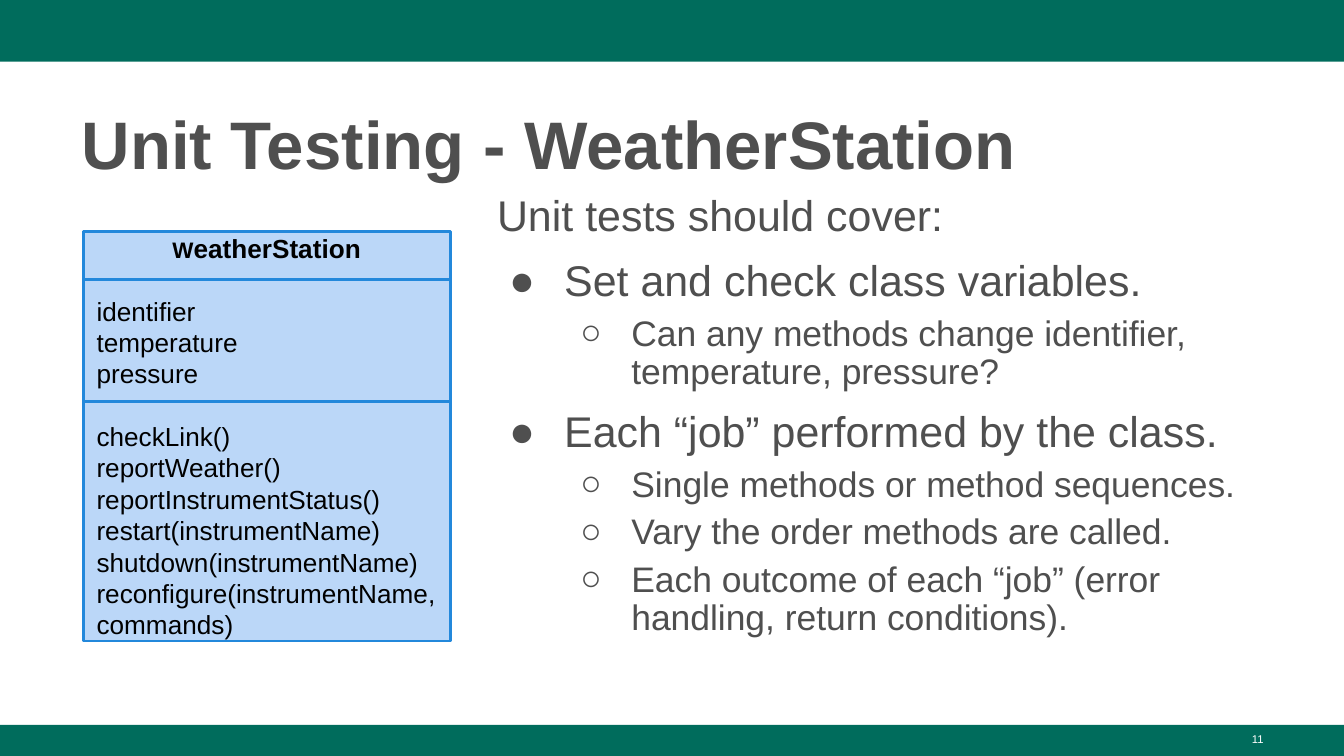
from lxml import etree
from pptx import Presentation
from pptx.dml.color import RGBColor
from pptx.enum.shapes import MSO_CONNECTOR, MSO_SHAPE
from pptx.enum.text import MSO_ANCHOR, PP_ALIGN
from pptx.oxml.ns import qn
from pptx.util import Inches, Pt

RECTANGLE = MSO_SHAPE.RECTANGLE
STRAIGHT = MSO_CONNECTOR.STRAIGHT
TOP, MIDDLE = MSO_ANCHOR.TOP, MSO_ANCHOR.MIDDLE
LEFT, CENTER, RIGHT = PP_ALIGN.LEFT, PP_ALIGN.CENTER, PP_ALIGN.RIGHT

GREEN = RGBColor(0x00, 0x6C, 0x5C)
GRAY = RGBColor(0x4F, 0x4F, 0x4F)
LIGHT_BLUE = RGBColor(0xBB, 0xD7, 0xF8)
BLUE = RGBColor(0x23, 0x88, 0xDB)
BLACK = RGBColor(0x00, 0x00, 0x00)
WHITE = RGBColor(0xFF, 0xFF, 0xFF)
FONT = "Arial"

TITLE = "Unit Testing - WeatherStation"
PAGE_NUMBER = "11"
CLASS_NAME = ("W", "eatherStation")
ATTRIBUTES = ["identifier", "temperature", "pressure"]
METHODS = [
    "checkLink()",
    "reportWeather()\nreportInstrumentStatus()",
    "restart(instrumentName)",
    "shutdown(instrumentName)",
    "reconfigure(instrumentName, commands)",
]
# (style, text)
BODY = [
    ("lead", "Unit tests should cover:"),
    ("point", "Set and check class variables."),
    ("detail", "Can any methods change identifier, temperature, pressure?"),
    ("point", "Each “job” performed by the class."),
    ("detail", "Single methods or method sequences."),
    ("detail", "Vary the order methods are called."),
    ("detail", "Each outcome of each “job” (error handling, return conditions)."),
]
# style: (level, size, space before, left margin, first-line indent, bullet)
BODY_STYLES = {
    "lead": (0, 23, 0, 0, 0, None),
    "point": (0, 23, 10, 0.5, -0.41, "●"),
    "detail": (1, 19, 5, 1, -0.38, "○"),
}
SLIDE_WIDTH = 10
SLIDE_HEIGHT = SLIDE_WIDTH * 9 / 16
HEADER_HEIGHT, FOOTER_HEIGHT = 0.46, 0.23
BARS = [(0, HEADER_HEIGHT), (SLIDE_HEIGHT - FOOTER_HEIGHT, FOOTER_HEIGHT)]  # top, height
CLASS_BOX = (0.62, 1.72, 2.73, 3.05)
DIVIDERS = [2.08, 2.99]
CLASS_LINE = Pt(16.8)


def style_font(font, size, color, bold=False):
    font.name, font.size, font.bold = FONT, Pt(size), bold
    font.color.rgb = color


def add_rectangle(page, area, fill, line=None):
    box = page.shapes.add_shape(RECTANGLE, *map(Inches, area))
    box.shadow.inherit = False
    box.fill.solid()
    box.fill.fore_color.rgb = fill
    if line is None:
        box.line.fill.background()
    else:
        box.line.color.rgb = line
        box.line.width = Pt(1.5)
    return box


def add_text_frame(page, area, anchor=TOP):
    frame = page.shapes.add_textbox(*map(Inches, area)).text_frame
    frame.word_wrap = True
    frame.vertical_anchor = anchor
    return frame


def set_bullet(para, margin, indent, bullet):
    properties = para._p.get_or_add_pPr()
    properties.set("marL", str(Inches(margin)))
    properties.set("indent", str(Inches(indent)))
    if bullet:
        color = etree.SubElement(properties, qn("a:buClr"))
        etree.SubElement(color, qn("a:srgbClr")).set("val", str(GRAY))
        etree.SubElement(properties, qn("a:buFont")).set("typeface", FONT)
        etree.SubElement(properties, qn("a:buChar")).set("char", bullet)


def add_title(page):
    frame = add_text_frame(page, (0.51, 0.67, 8.99, 0.73), MIDDLE)
    frame.text = TITLE
    para = frame.paragraphs[0]
    para.line_spacing = 1.08
    style_font(para.runs[0].font, 36, GRAY, bold=True)


def add_class_diagram(page):
    left, _, width, _ = CLASS_BOX
    frame = add_rectangle(page, CLASS_BOX, LIGHT_BLUE, BLUE).text_frame
    frame.word_wrap = True
    frame.vertical_anchor = MIDDLE
    frame.margin_left = frame.margin_right = Inches(0.1)
    frame.margin_top = frame.margin_bottom = Inches(0.1)

    heading = frame.paragraphs[0]
    heading.alignment = CENTER
    heading.line_spacing = CLASS_LINE
    for part, size in zip(CLASS_NAME, (12, 14)):
        span = heading.add_run()
        span.text = part
        style_font(span.font, size, BLACK, bold=True)

    for members in (ATTRIBUTES, METHODS):
        for index, member in enumerate(members):
            para = frame.add_paragraph()
            para.text = member
            para.alignment = LEFT
            para.line_spacing = CLASS_LINE
            para.space_before = CLASS_LINE if index == 0 else Pt(0)
            for span in para.runs:
                style_font(span.font, 14, BLACK)

    for height in DIVIDERS:
        line = page.shapes.add_connector(
            STRAIGHT, Inches(left), Inches(height), Inches(left + width), Inches(height))
        line.line.color.rgb = BLUE
        line.line.width = Pt(1.5)
        etree.SubElement(line._element.spPr, qn("a:effectLst"))


def add_page_number(page):
    frame = add_text_frame(page, (7.17, 5.4, 2.33, FOOTER_HEIGHT))
    frame.text = PAGE_NUMBER
    para = frame.paragraphs[0]
    para.alignment = RIGHT
    style_font(para.runs[0].font, 6, WHITE)


def add_body(page):
    frame = add_text_frame(page, (3.6, 1.4, 5.9, 3.81))
    for index, (style, text) in enumerate(BODY):
        level, size, before, margin, indent, bullet = BODY_STYLES[style]
        para = frame.add_paragraph() if index else frame.paragraphs[0]
        para.text = text
        para.level = level
        set_bullet(para, margin, indent, bullet)
        para.line_spacing = 0.9
        para.space_before = Pt(before)
        style_font(para.runs[0].font, size, GRAY)


def main():
    deck = Presentation()
    deck.slide_width, deck.slide_height = Inches(SLIDE_WIDTH), Inches(SLIDE_HEIGHT)
    page = deck.slides.add_slide(deck.slide_layouts[6])
    for top, height in BARS:
        add_rectangle(page, (0, top, SLIDE_WIDTH, height), GREEN)
    add_title(page)
    add_class_diagram(page)
    add_page_number(page)
    add_body(page)
    deck.save("out.pptx")


if __name__ == "__main__":
    main()
